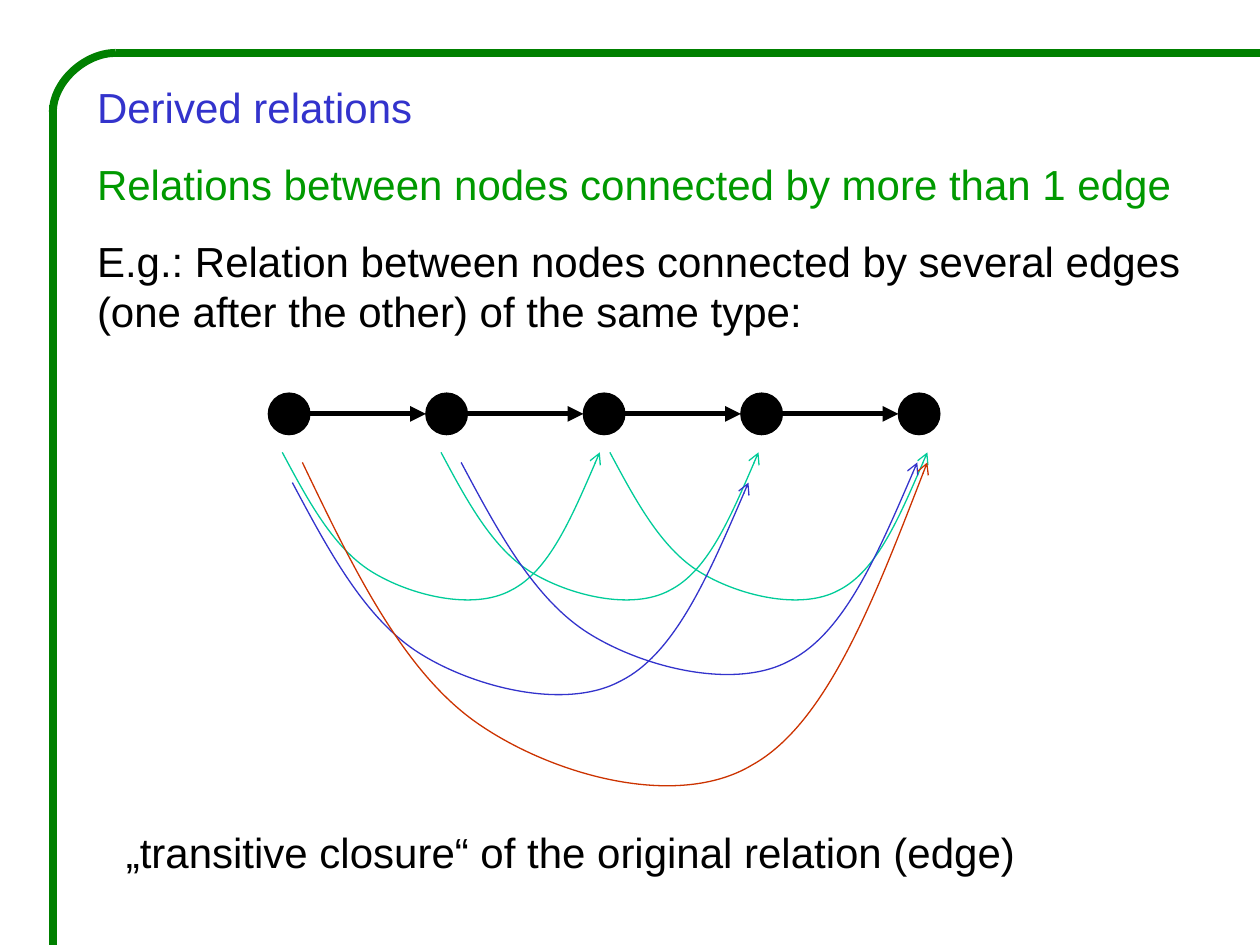
import pptx
import pptx.util
import pptx.dml.color
import pptx.enum.shapes
import pptx.enum.text
import pptx.oxml
import pptx.oxml.ns

Inches, Pt = pptx.util.Inches, pptx.util.Pt
Link = pptx.enum.shapes.MSO_CONNECTOR
Oval = pptx.enum.shapes.MSO_SHAPE.OVAL
qn = pptx.oxml.ns.qn

BLUE, GREEN, BLACK, FRAME = "3333CC", "009900", "000000", "008000"
TEAL, RED = "00CC99", "CC3300"

TITLE = [("Derived relations", BLUE)]
BODY = [
    ("Relations between nodes connected by more than 1 edge", GREEN),
    ("E.g.: Relation between nodes connected by several edges "
     "(one after the other) of the same type:", BLACK),
]
NOTE = [("„transitive closure“ of the original relation (edge)", BLACK)]

# Node row: count, first left edge, top, diameter, step
COUNT, LEFT, TOP, SIZE, STEP = 5, 2.13, 3.12, 0.33, 1.25

# Derived edges: left, top, width, depth, colour
ARCS = [
    (2.24, 3.59, 2.52, 1.26, TEAL),
    (3.5, 3.59, 2.52, 1.26, TEAL),
    (4.84, 3.59, 2.52, 1.26, TEAL),
    (2.32, 3.83, 3.62, 1.81, BLUE),
    (3.66, 3.67, 3.62, 1.81, BLUE),
    (2.4, 3.67, 4.96, 2.76, RED),
]
# Three Bézier pieces shared by all arcs, as shares of width and depth
BEND = [(0, 0), (0.08, 0.3), (0.16, 0.6), (0.28, 0.75), (0.4, 0.9),
        (0.6, 1), (0.72, 0.87), (0.84, 0.75), (0.92, 0.37), (1, 0)]


def rgb(code):
    return pptx.dml.color.RGBColor.from_string(code)


def write(shape, paras, box, size=24, font="Arial", gap=15):
    """Place a shape and fill it with (text, colour) paragraphs."""
    shape.left, shape.top, shape.width, shape.height = map(Inches, box)
    frame = shape.text_frame
    frame.word_wrap = True
    frame.auto_size = pptx.enum.text.MSO_AUTO_SIZE.NONE
    frame.vertical_anchor = pptx.enum.text.MSO_ANCHOR.TOP
    for i, (text, color) in enumerate(paras):
        para = frame.add_paragraph() if i else frame.paragraphs[0]
        props = para._p.get_or_add_pPr()
        props.set("marL", "0")
        props.set("indent", "0")
        props.append(pptx.oxml.parse_xml(
            f'<a:buNone {pptx.oxml.ns.nsdecls("a")}/>'))
        para.alignment = pptx.enum.text.PP_ALIGN.LEFT
        para.space_before = Pt(gap if i else 0)
        run = para.add_run()
        run.text = text
        run.font.size, run.font.name = Pt(size), font
        run.font.color.rgb = rgb(color)


def stroke(shape, color, width, head=None):
    shape.line.color.rgb = rgb(color)
    shape.line.width = Pt(width)
    props = shape.element.spPr
    if head:
        end = props.find(qn("a:ln")).makeelement(qn("a:tailEnd"), {"type": head})
        props.find(qn("a:ln")).append(end)
    if props.find(qn("a:effectLst")) is None:
        props.append(props.makeelement(qn("a:effectLst"), {}))


def link(shapes, ends, color, width, head=None, kind=Link.STRAIGHT):
    line = shapes.add_connector(kind, *map(Inches, ends))
    stroke(line, color, width, head)
    return line


def arc(shapes, left, top, width, depth, color):
    """Draw a curved arrow by turning each three points into a Bézier."""
    pts = [(Inches(left + x * width), Inches(top + y * depth)) for x, y in BEND]
    pen = shapes.build_freeform(*pts[0])
    pen.add_line_segments(pts[1:], close=False)
    shape = pen.convert_to_shape()
    shape.shadow.inherit = False
    shape.fill.background()
    stroke(shape, color, 0.75, "arrow")
    legs = list(shape.element.iter(qn("a:lnTo")))
    for i in range(0, len(legs), 3):
        curve = legs[i].makeelement(qn("a:cubicBezTo"), {})
        legs[i].addprevious(curve)
        for leg in legs[i:i + 3]:
            curve.append(leg[0])
            leg.getparent().remove(leg)


def main():
    deck = pptx.Presentation()
    deck.slide_width, deck.slide_height = Inches(10), Inches(7.5)
    slide = deck.slides.add_slide(deck.slide_layouts[1])
    shapes = slide.shapes

    link(shapes, (10, 0.42, 0.92, 0.42), FRAME, 4.5)
    link(shapes, (0.42, 0.83, 0.42, 7.5), FRAME, 4.5)
    bend = link(shapes, (0.92, 0.42, 0.42, 0.89), FRAME, 4.5, kind=Link.CURVE)
    bend.element.spPr.find(qn("a:prstGeom")).set("prst", "curvedConnector2")

    write(shapes.title, TITLE, (0.67, 0.6, 9.33, 0.5))
    write(slide.placeholders[1], BODY, (0.67, 1.21, 9.33, 1.51))

    for i in range(COUNT):
        x, mid = LEFT + i * STEP, TOP + SIZE / 2
        node = shapes.add_shape(Oval, *map(Inches, (x, TOP, SIZE, SIZE)))
        node.shadow.inherit = False
        node.fill.solid()
        node.fill.fore_color.rgb = rgb(BLACK)
        stroke(node, BLACK, 0.75)
        if i < COUNT - 1:
            link(shapes, (x + SIZE, mid, x + STEP, mid), BLACK, 3, "triangle")

    for item in ARCS:
        arc(shapes, *item)

    box = (0.9, 6.51, 8.35, 0.5)
    write(shapes.add_textbox(*map(Inches, box)), NOTE, box)
    deck.save("out.pptx")


if __name__ == "__main__":
    main()
